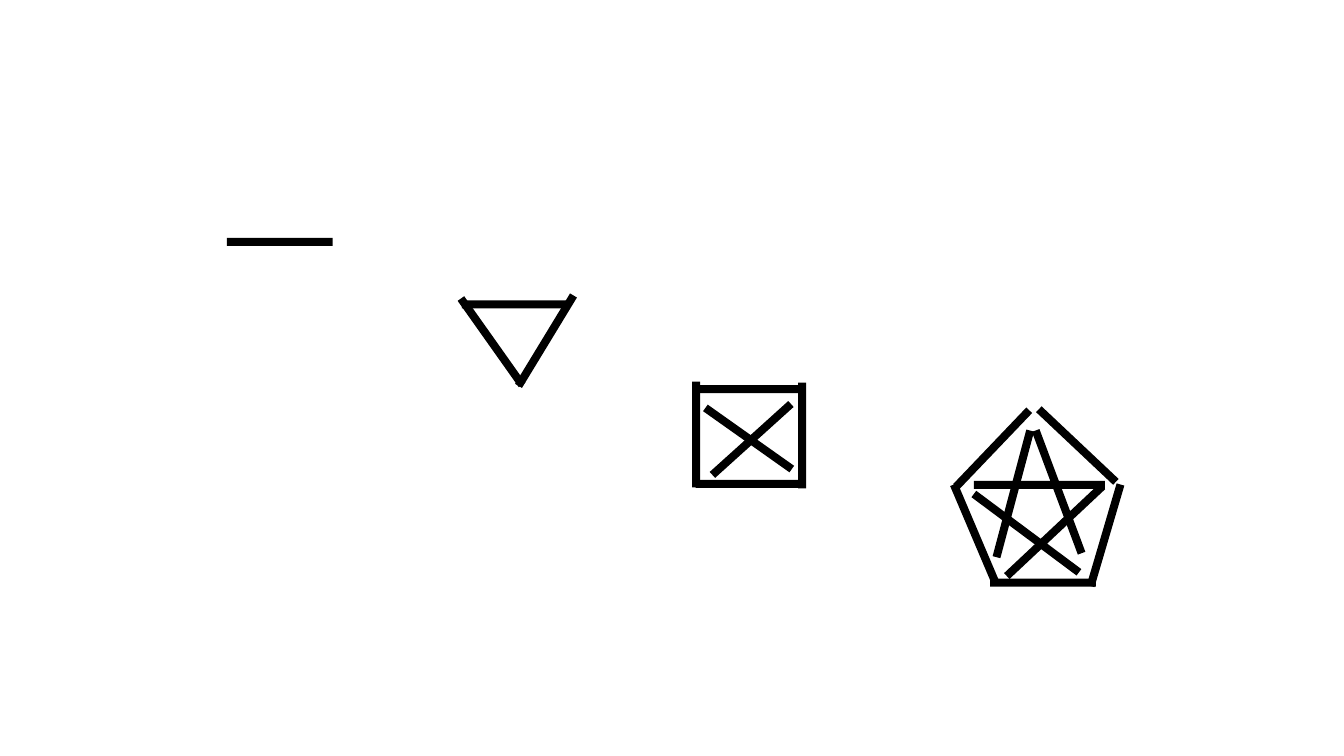
from pptx import Presentation
from pptx.dml.color import RGBColor
from pptx.enum.shapes import MSO_SHAPE
from pptx.util import Inches

RECTANGLE = MSO_SHAPE.RECTANGLE
BLACK = RGBColor(0, 0, 0)
BLANK_LAYOUT = 6
BAR_THICKNESS = 0.08
SIDE_LENGTH = 1.05
STAR_LENGTH = 1.3

SEGMENT = [(0, 0, 0)]
TRIANGLE = [(-0.23, 0.37, 234.7), (0.31, 0.36, 121.3), (0, 0, 0)]
SQUARE_DIAGONALS = [(0, 0.49, 215.3), (0.03, 0.5, 137.9)]
SQUARE_SIDES = [(0, 0, 0), (0, 0.94, 0), (-0.52, 0.45, 90), (0.53, 0.46, 90)]
PENTAGON_STAR = [(0.31, 1.17, 316.8), (0.03, 1.19, 36.7), (-0.1, 0.8, 104.9),
                 (0.35, 0.78, 69.5), (0.16, 0.71, 0)]
PENTAGON_SIDES = [(0.32, 1.68, 0), (-0.36, 1.19, 67), (0.94, 1.21, 106.4),
                  (-0.18, 0.35, 133.7), (0.66, 0.32, 223.3)]


def draw_bars(slide, corner, bars, length=SIDE_LENGTH):
    """Draw bars given as x offset, y offset and rotation from a figure's corner."""
    left, top = corner
    for x, y, angle in bars:
        bar = slide.shapes.add_shape(RECTANGLE, Inches(left + x), Inches(top + y),
                                     Inches(length), Inches(BAR_THICKNESS))
        bar.rotation = angle
        bar.shadow.inherit = False
        bar.fill.solid()
        bar.fill.fore_color.rgb = BLACK
        bar.line.fill.background()


def draw_square(slide, corner):
    """Draw the square with its two diagonals."""
    draw_bars(slide, corner, SQUARE_DIAGONALS)
    draw_bars(slide, corner, SQUARE_SIDES)


def draw_pentagon(slide, corner):
    """Draw the pentagon around its five-bar star."""
    draw_bars(slide, corner, PENTAGON_STAR, STAR_LENGTH)
    draw_bars(slide, corner, PENTAGON_SIDES)


def main():
    """Build the slide of polygons and save it."""
    deck = Presentation()
    deck.slide_width = Inches(13.33)
    deck.slide_height = Inches(7.5)
    slide = deck.slides.add_slide(deck.slide_layouts[BLANK_LAYOUT])
    draw_pentagon(slide, (9.5, 4.06))
    draw_square(slide, (6.9, 3.82))
    draw_bars(slide, (4.58, 2.98), TRIANGLE)
    draw_bars(slide, (2.25, 2.36), SEGMENT)
    deck.save("out.pptx")


if __name__ == "__main__":
    main()
